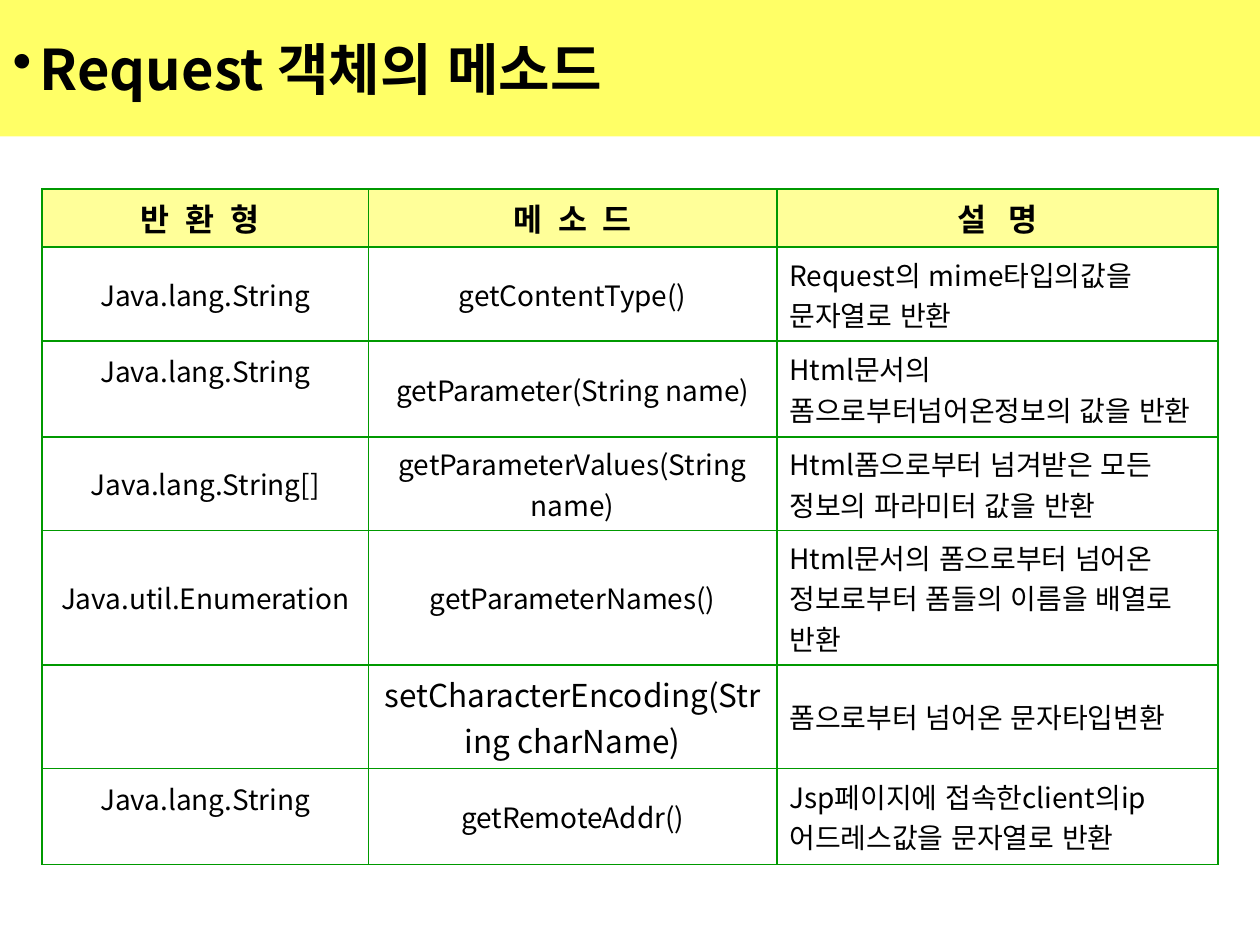
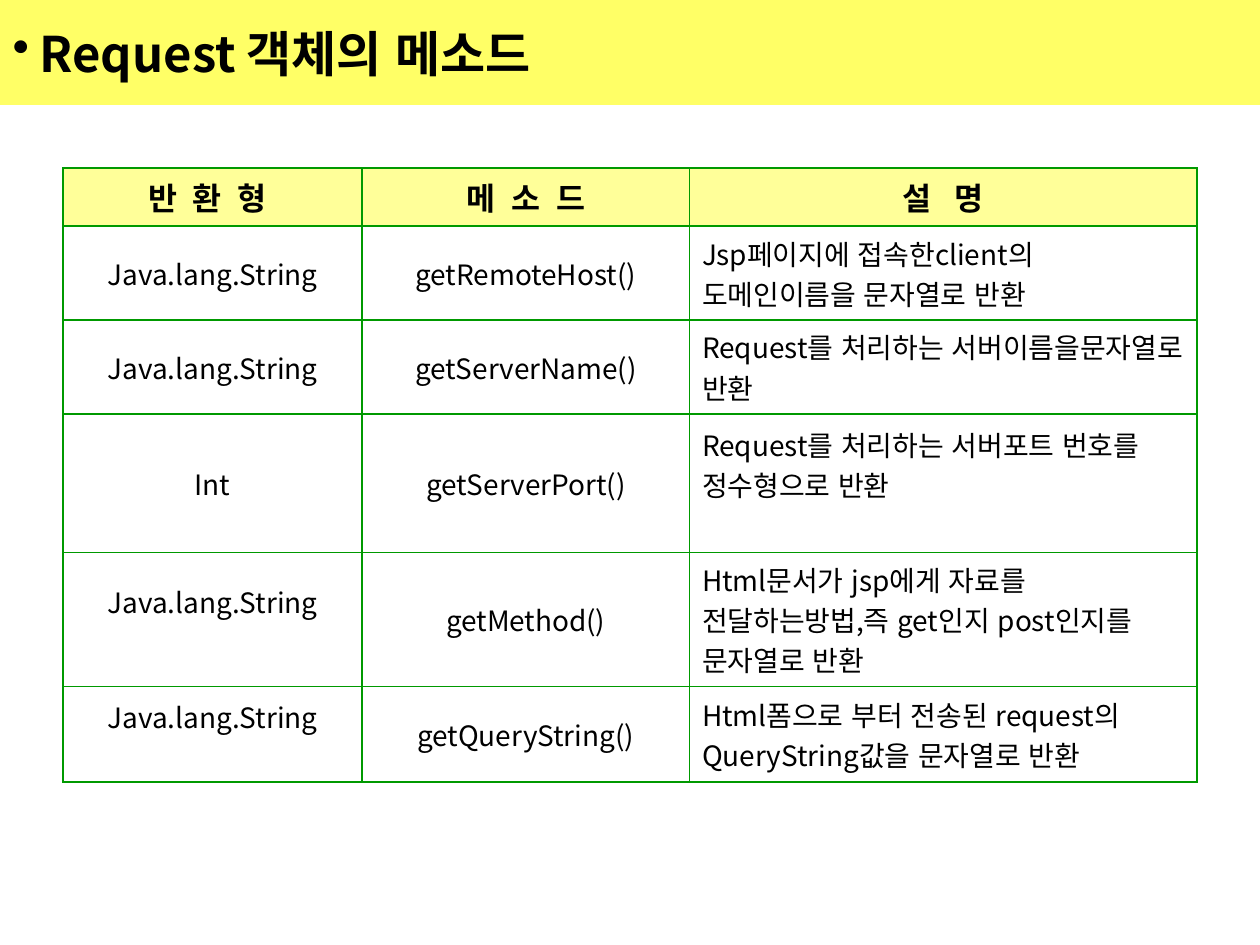
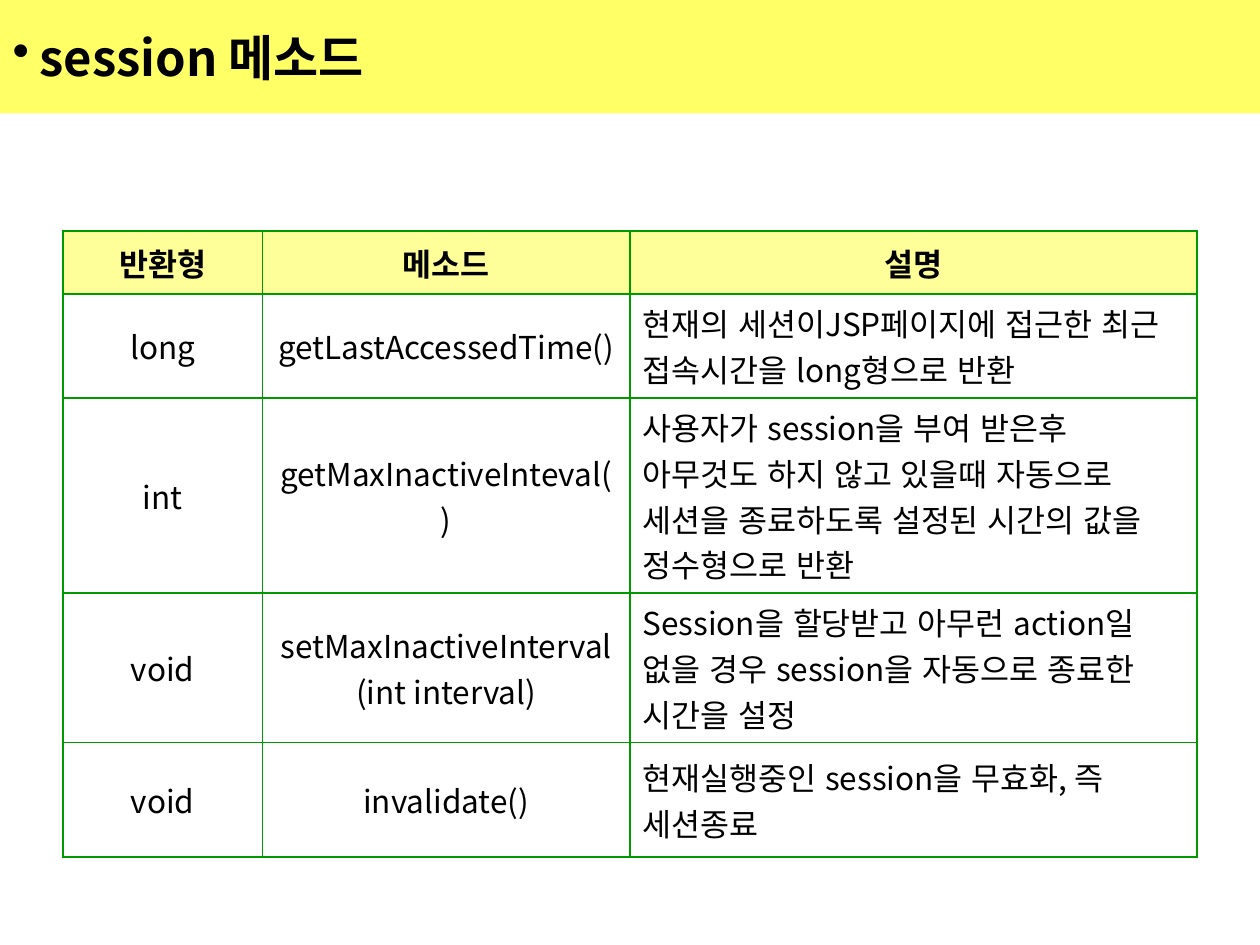
from dataclasses import dataclass

from lxml import etree
from pptx import Presentation
from pptx.dml.color import RGBColor
from pptx.enum.lang import MSO_LANGUAGE_ID
from pptx.enum.text import MSO_ANCHOR, MSO_AUTO_SIZE, PP_ALIGN
from pptx.oxml.ns import qn
from pptx.util import Pt

LEFT, CENTER = PP_ALIGN.LEFT, PP_ALIGN.CENTER
MIDDLE = MSO_ANCHOR.MIDDLE
NO_FIT = MSO_AUTO_SIZE.NONE
KOREAN = MSO_LANGUAGE_ID.KOREAN
TITLE_ONLY = 5


@dataclass(frozen=True)
class Theme:
    font: str = "Noto Sans CJK KR"
    ink: str = "000000"
    band: str = "FFFF66"
    header: str = "FFFF99"
    border: str = "009900"
    border_width: float = 1.08
    head_size: int = 18
    body_size: int = 16
    large_size: int = 18
    bullet_indent: float = 15.5
    inset_x: float = 7.2
    inset_y: float = 3.6
    raised_inset: float = 24.8  # bottom inset that lifts text by half a line


THEME = Theme()
SLIDE_W, SLIDE_H = 720, 540


# Text helpers
def add_text(p, text, size, bold=False, spacing=0):
    r = p.add_run()
    r.text = text
    formats = {"name": THEME.font, "size": Pt(size), "bold": bold, "language_id": KOREAN}
    for name, value in formats.items():
        setattr(r.font, name, value)
    r.font.color.rgb = RGBColor.from_string(THEME.ink)
    rPr = r.font._element
    etree.SubElement(rPr, qn("a:ea"), typeface=THEME.font)
    if spacing:
        rPr.set("spc", str(spacing * 100))


def add_bullet(p):
    pPr = p._p.get_or_add_pPr()
    indent = Pt(THEME.bullet_indent)
    pPr.set("marL", str(indent))
    pPr.set("indent", str(-indent))
    color = etree.SubElement(pPr, qn("a:buClr"))
    etree.SubElement(color, qn("a:srgbClr"), val=THEME.ink)
    etree.SubElement(pPr, qn("a:buChar"), char="•")


def set_fill(fill, color):
    fill.solid()
    fill.fore_color.rgb = RGBColor.from_string(color)


# Title band
def add_title(s, text, height, size):
    title = s.shapes.title
    frame = {"left": 0, "top": 0, "width": SLIDE_W, "height": height}
    for name, value in frame.items():
        setattr(title, name, Pt(value))
    set_fill(title.fill, THEME.band)
    tf = title.text_frame
    formats = {"word_wrap": True, "auto_size": NO_FIT, "vertical_anchor": MIDDLE}
    for name, value in formats.items():
        setattr(tf, name, value)
    p = tf.paragraphs[0]
    p.alignment = LEFT
    add_bullet(p)
    add_text(p, text, size, bold=True)


# Table
def add_borders(cell):
    tcPr = cell._tc.get_or_add_tcPr()
    for side in ("lnL", "lnR", "lnT", "lnB"):
        line = etree.SubElement(tcPr, qn(f"a:{side}"), w=str(Pt(THEME.border_width)))
        fill = etree.SubElement(line, qn("a:solidFill"))
        etree.SubElement(fill, qn("a:srgbClr"), val=THEME.border)


def style_cell(cell, align, extra_right=0, bottom=THEME.inset_y):
    add_borders(cell)
    margins = {"margin_left": THEME.inset_x, "margin_right": THEME.inset_x + extra_right,
               "margin_top": THEME.inset_y, "margin_bottom": bottom}
    for name, value in margins.items():
        setattr(cell, name, Pt(value))
    cell.vertical_anchor = MIDDLE
    p = cell.text_frame.paragraphs[0]
    p.alignment = align
    return p


def add_method_table(s, left, top, widths, heights, headers, rows,
                     size=THEME.body_size, raised=(), large=()):
    """Headers are (text, letter spacing, extra right inset);
    raised and large hold (row, column) pairs."""
    frame = s.shapes.add_table(len(heights), len(widths), Pt(left), Pt(top),
                               Pt(sum(widths)), Pt(sum(heights)))
    table = frame.table
    table.first_row = table.horz_banding = False
    for column, width in zip(table.columns, widths):
        column.width = Pt(width)
    for row, height in zip(table.rows, heights):
        row.height = Pt(height)

    for c, (text, spacing, extra_right) in enumerate(headers):
        cell = table.cell(0, c)
        p = style_cell(cell, CENTER, extra_right)
        set_fill(cell.fill, THEME.header)
        add_text(p, text, THEME.head_size, bold=True, spacing=spacing)

    for r, texts in enumerate(rows, start=1):
        for c, text in enumerate(texts):
            cell = table.cell(r, c)
            bottom = THEME.raised_inset if (r, c) in raised else THEME.inset_y
            p = style_cell(cell, LEFT if c == 2 else CENTER, bottom=bottom)
            cell.fill.background()
            if text:
                add_text(p, text, THEME.large_size if (r, c) in large else size)


# Content
SPACED_HEADERS = [("반 환 형", 2, 6), ("메 소 드", 2, 0), ("설 명", 4, 0)]
PLAIN_HEADERS = [("반환형", 0, 0), ("메소드", 0, 0), ("설명", 0, 0)]

REQUEST_METHODS = [
    ("Java.lang.String", "getContentType()", "Request의 mime타입의값을 문자열로 반환"),
    ("Java.lang.String", "getParameter(String name)",
     "Html문서의 폼으로부터넘어온정보의 값을 반환"),
    ("Java.lang.String[]", "getParameterValues(String name)",
     "Html폼으로부터 넘겨받은 모든 정보의 파라미터 값을 반환"),
    ("Java.util.Enumeration", "getParameterNames()",
     "Html문서의 폼으로부터 넘어온 정보로부터 폼들의 이름을 배열로 반환"),
    ("", "setCharacterEncoding(String charName)", "폼으로부터 넘어온 문자타입변환"),
    ("Java.lang.String", "getRemoteAddr()",
     "Jsp페이지에 접속한client의ip어드레스값을 문자열로 반환"),
]
SERVER_METHODS = [
    ("Java.lang.String", "getRemoteHost()",
     "Jsp페이지에 접속한client의 도메인이름을 문자열로 반환"),
    ("Java.lang.String", "getServerName()", "Request를 처리하는 서버이름을문자열로 반환"),
    ("Int", "getServerPort()", "Request를 처리하는 서버포트 번호를 정수형으로 반환"),
    ("Java.lang.String", "getMethod()",
     "Html문서가 jsp에게 자료를 전달하는방법,즉 get인지 post인지를 문자열로 반환"),
    ("Java.lang.String", "getQueryString()",
     "Html폼으로 부터 전송된 request의 QueryString값을 문자열로 반환"),
]
SESSION_METHODS = [
    ("long", "getLastAccessedTime()",
     "현재의 세션이JSP페이지에 접근한 최근 접속시간을 long형으로 반환"),
    ("int", "getMaxInactiveInteval()",
     "사용자가 session을 부여 받은후 아무것도 하지 않고 있을때 자동으로 "
     "세션을 종료하도록 설정된 시간의 값을 정수형으로 반환"),
    ("void", "setMaxInactiveInterval(int interval)",
     "Session을 할당받고 아무런 action일 없을 경우 session을 자동으로 종료한 시간을 설정"),
    ("void", "invalidate()", "현재실행중인 session을 무효화, 즉 세션종료"),
]


def main():
    prs = Presentation()
    prs.slide_width, prs.slide_height = Pt(SLIDE_W), Pt(SLIDE_H)

    def new_slide():
        return prs.slides.add_slide(prs.slide_layouts[TITLE_ONLY])

    # Request methods
    s = new_slide()
    add_title(s, "Request 객체의 메소드", 78, 32)
    add_method_table(s, 24, 108, [186.5, 233.5, 252],
                     [33.2, 53.6, 54.8, 53.6, 76.6, 59.4, 54.8],
                     SPACED_HEADERS, REQUEST_METHODS,
                     raised={(2, 0), (6, 0)}, large={(5, 1)})

    # Request methods, continued
    s = new_slide()
    add_title(s, "Request 객체의 메소드", 60, 28)
    add_method_table(s, 36, 96, [171, 187, 290],
                     [33.2, 53.6, 53.6, 79.2, 76.6, 54.8],
                     SPACED_HEADERS, SERVER_METHODS,
                     raised={(3, 2), (4, 0), (5, 0)})

    # Session methods
    s = new_slide()
    add_title(s, "session 메소드", 64.8, 28)
    add_method_table(s, 36, 132, [114, 210, 324],
                     [36, 59.4, 111.5, 85.4, 65.5],
                     PLAIN_HEADERS, SESSION_METHODS, size=THEME.large_size)

    prs.save("out.pptx")


if __name__ == "__main__":
    main()
